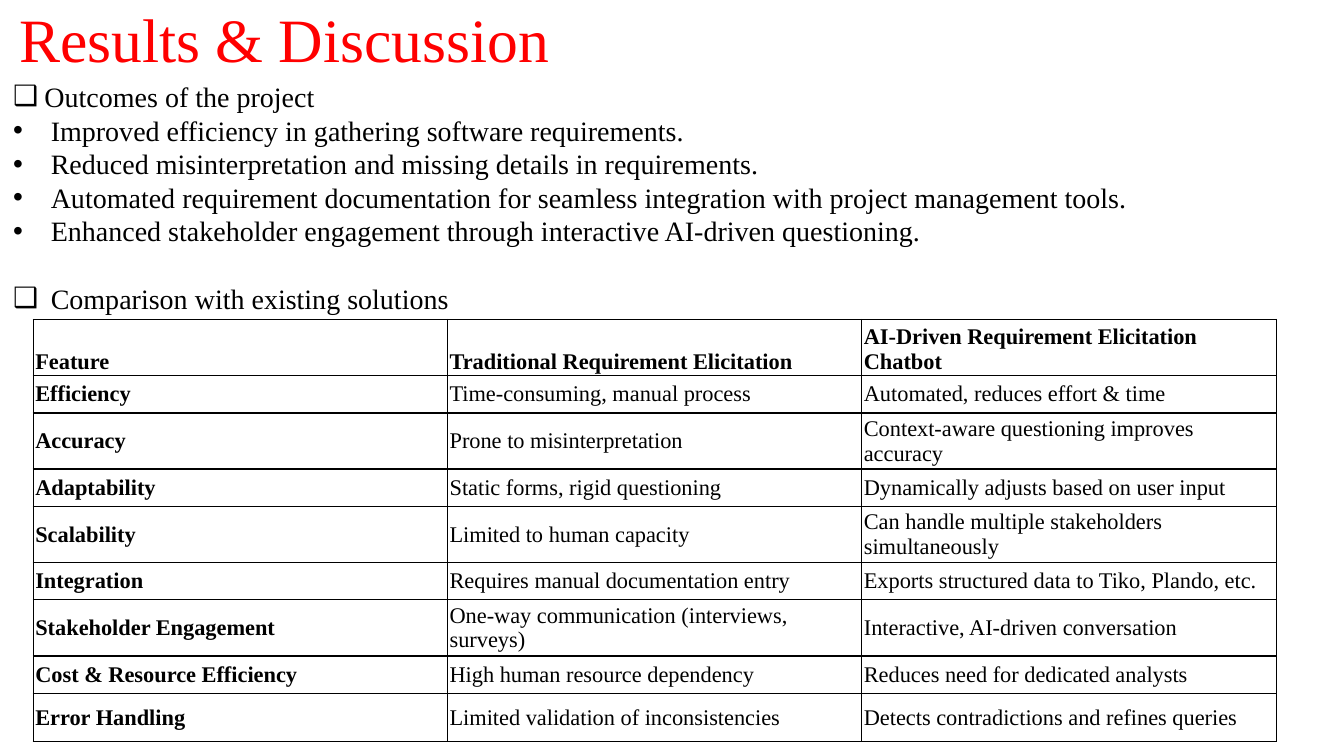
"""Build the Results & Discussion slide with project outcomes and a comparison table."""
from lxml.etree import SubElement
from pptx import Presentation
from pptx.dml.color import RGBColor
from pptx.enum.text import MSO_ANCHOR
from pptx.oxml.ns import qn
from pptx.util import Cm, Pt

COLORS = {"title": "FF0000", "text": "000000", "border": "000000"}
FONT = "Times New Roman"
SQUARE, DOT = "❑", "•"


def style_run(run, size, color, bold=False):
    run.font.name = FONT
    run.font.size = Pt(size)
    run.font.bold = bold
    run.font.color.rgb = RGBColor.from_string(COLORS[color])


def add_bullet(paragraph, symbol, indent):
    properties = paragraph._p.get_or_add_pPr()
    properties.set("marL", str(indent))
    properties.set("indent", str(-indent))
    SubElement(properties, qn("a:buFont"), typeface="Arial")
    SubElement(properties, qn("a:buChar"), char=symbol)


presentation = Presentation()
presentation.slide_width = Cm(33.87)
presentation.slide_height = Cm(19.05)
slide = presentation.slides.add_slide(presentation.slide_layouts[6])

heading = slide.shapes.add_textbox(Cm(0.48), Cm(0), Cm(16.4), Cm(1.93)).text_frame
heading.word_wrap = True
heading.margin_left = heading.margin_right = heading.margin_bottom = Cm(0)
heading.margin_top = Cm(0.03)
heading.text = "Results & Discussion"
heading.paragraphs[0].space_before = Pt(1.1)
style_run(heading.paragraphs[0].runs[0], 44, "title")

outcomes = [
    (SQUARE, 0.79, "Outcomes of the project"),
    (DOT, 0.95, "Improved efficiency in gathering software requirements."),
    (DOT, 0.95, "Reduced misinterpretation and missing details in requirements."),
    (DOT, 0.95, "Automated requirement documentation for seamless integration "
                "with project management tools."),
    (DOT, 0.95, "Enhanced stakeholder engagement through interactive AI-driven questioning."),
    (SQUARE, 0.95, "Comparison with existing solutions"),
]
summary = slide.shapes.add_textbox(Cm(0.08), Cm(1.88), Cm(33.35), Cm(7.09)).text_frame
summary.word_wrap = True
summary.text = "\n".join(wording for _, _, wording in outcomes)
for paragraph, (symbol, indent, _) in zip(summary.paragraphs, outcomes):
    add_bullet(paragraph, symbol, Cm(indent))
    style_run(paragraph.runs[0], 20, "text")
summary.paragraphs[-1].space_before = Pt(24)

comparison = [
    ("Feature", "Traditional Requirement Elicitation", "AI-Driven Requirement Elicitation Chatbot"),
    ("Efficiency", "Time-consuming, manual process", "Automated, reduces effort & time"),
    ("Accuracy", "Prone to misinterpretation", "Context-aware questioning improves accuracy"),
    ("Adaptability", "Static forms, rigid questioning", "Dynamically adjusts based on user input"),
    ("Scalability", "Limited to human capacity", "Can handle multiple stakeholders simultaneously"),
    ("Integration", "Requires manual documentation entry", "Exports structured data to Tiko, Plando, etc."),
    ("Stakeholder Engagement", "One-way communication (interviews, surveys)",
     "Interactive, AI-driven conversation"),
    ("Cost & Resource Efficiency", "High human resource dependency", "Reduces need for dedicated analysts"),
    ("Error Handling", "Limited validation of inconsistencies", "Detects contradictions and refines queries"),
]
table = slide.shapes.add_table(
    len(comparison), 3, Cm(0.84), Cm(8.05), Cm(31.32), Cm(9.86)).table
table.first_row = table.horz_banding = False
for column in table.columns:
    column.width = Cm(10.44)

for row_index, entries in enumerate(comparison):
    table.rows[row_index].height = Cm(0.94 if row_index % 2 else 1.22)
    for column_index, entry in enumerate(entries):
        cell = table.cell(row_index, column_index)
        cell.text = entry
        cell.margin_left = cell.margin_right = Cm(0.05)
        cell.margin_top = cell.margin_bottom = Cm(0.03)
        cell.vertical_anchor = MSO_ANCHOR.MIDDLE if row_index else MSO_ANCHOR.BOTTOM
        style_run(cell.text_frame.paragraphs[0].runs[0], 16, "text",
                  bold=row_index == 0 or column_index == 0)
        cell_properties = cell._tc.get_or_add_tcPr()
        for side in ("lnL", "lnR", "lnT", "lnB"):
            border = SubElement(cell_properties, qn(f"a:{side}"), w=str(Pt(1)))
            border_fill = SubElement(border, qn("a:solidFill"))
            SubElement(border_fill, qn("a:srgbClr"), val=COLORS["border"])
        cell.fill.background()

presentation.save("out.pptx")
